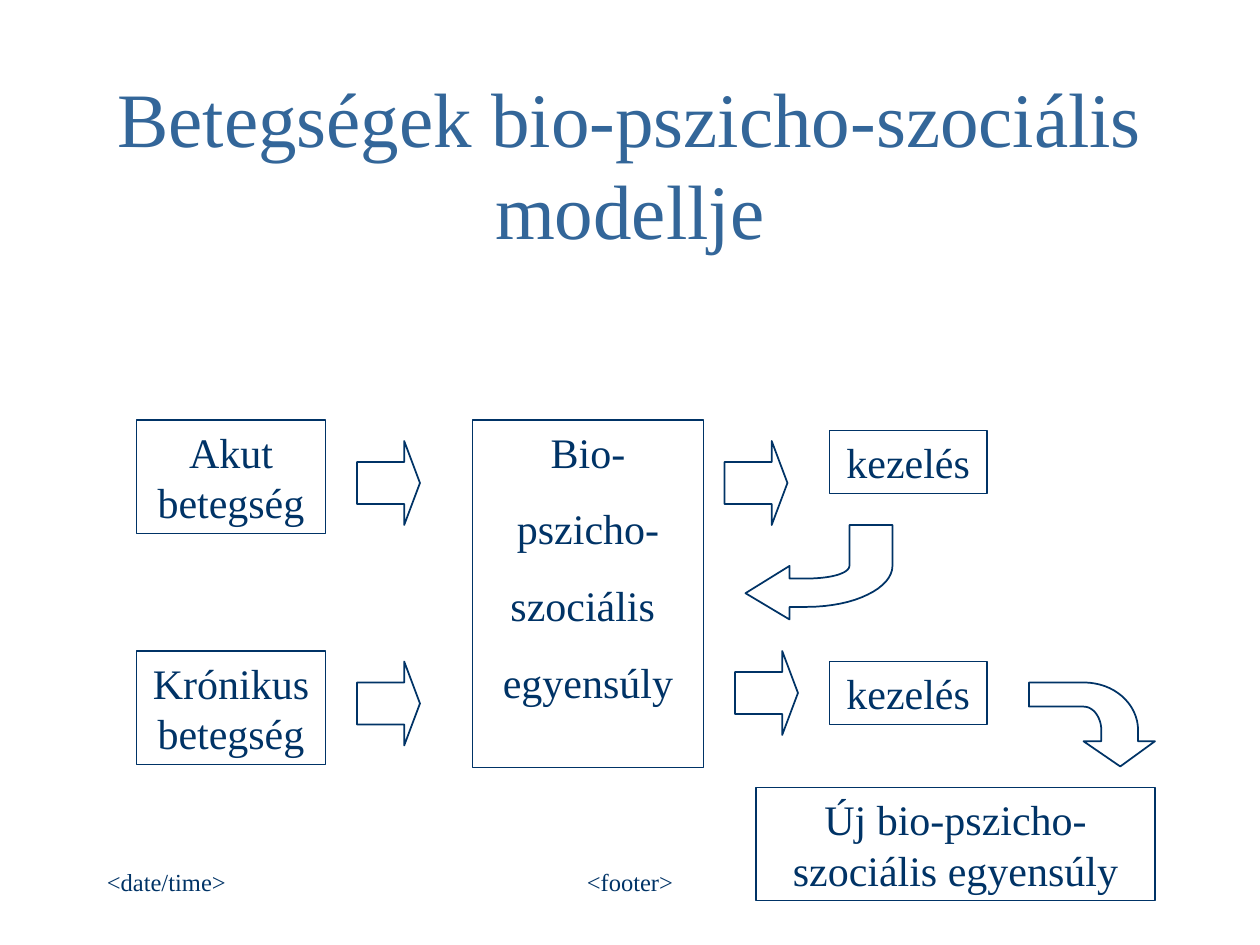
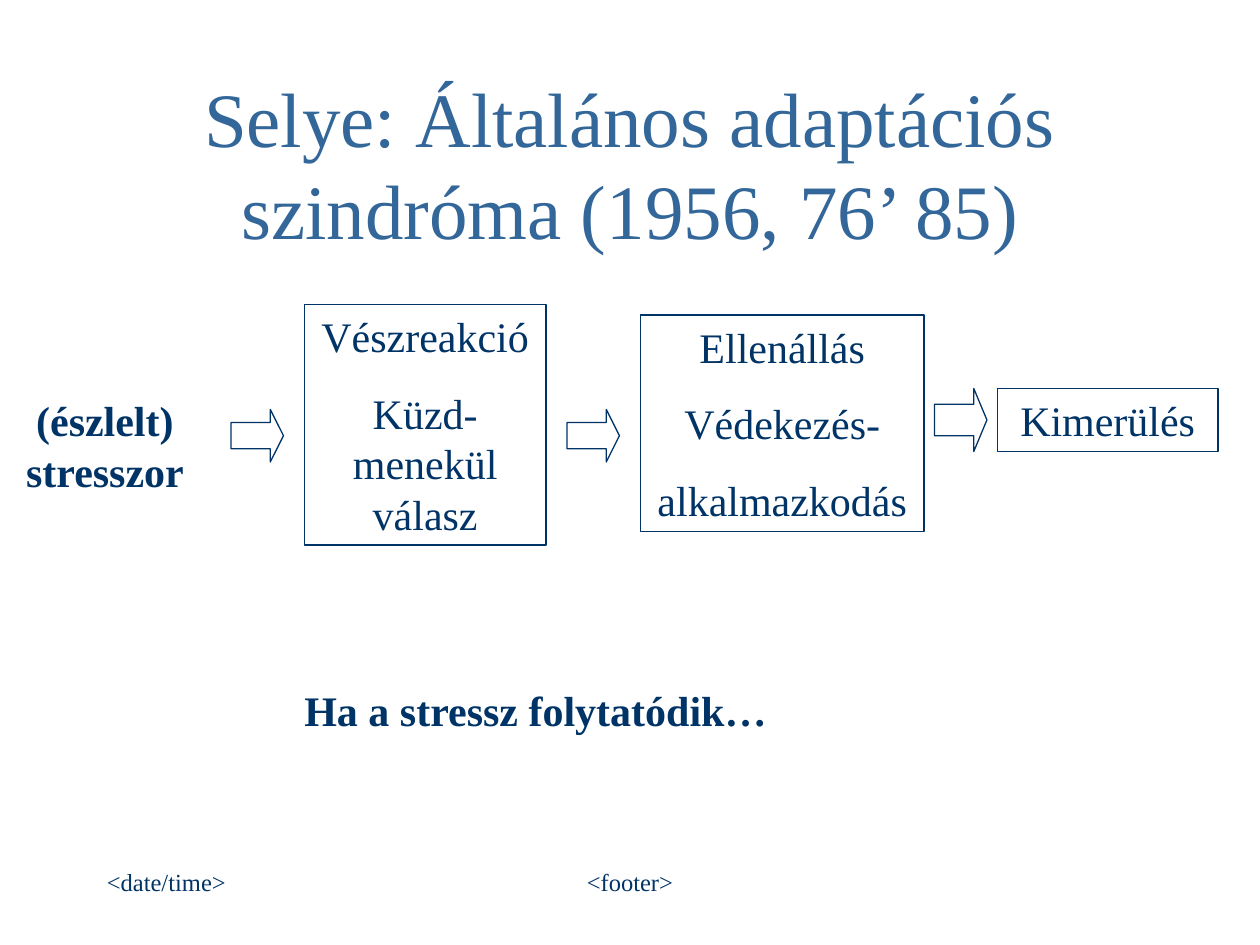
from pptx import Presentation
from pptx.dml.color import RGBColor
from pptx.enum.shapes import MSO_SHAPE
from pptx.enum.text import MSO_ANCHOR, PP_ALIGN
from pptx.util import Inches, Pt

NAVY = RGBColor(0x00, 0x33, 0x66)
STEEL = RGBColor(0x33, 0x66, 0x99)
FONT = "Times New Roman"
COLS, ROWS = 120, 90
WIDTH, HEIGHT = Inches(10), Inches(7.5)
UNIT = WIDTH // COLS


def grid(*cells):
    """Turn counts of grid cells into lengths."""
    return [round(n * UNIT) for n in cells]


def write(frame, text, size=24, color=NAVY, bold=False, align=PP_ALIGN.CENTER,
          anchor=MSO_ANCHOR.TOP, wrap=True):
    """Fill a frame, one paragraph for each line of text."""
    frame.word_wrap = wrap
    frame.vertical_anchor = anchor
    for i, line in enumerate(text.split("\n")):
        para = frame.add_paragraph() if i else frame.paragraphs[0]
        para.alignment = align
        if i:
            para.space_before = Pt(15)
        run = para.add_run()
        run.text = line
        font = run.font
        font.name, font.size, font.bold = FONT, Pt(size), bold
        font.color.rgb = color


def label(slide, text, area, **style):
    write(slide.shapes.add_textbox(*grid(*area)).text_frame, text, **style)


def outline(shape, width):
    shape.shadow.inherit = False
    shape.fill.background()
    shape.line.color.rgb = NAVY
    shape.line.width = Pt(width)


def box(slide, text, area):
    shape = slide.shapes.add_shape(MSO_SHAPE.RECTANGLE, *grid(*area))
    outline(shape, 0.75)
    write(shape.text_frame, text)


def arrow(slide, area, width):
    shape = slide.shapes.add_shape(MSO_SHAPE.RIGHT_ARROW, *grid(*area))
    shape.adjustments[0], shape.adjustments[1] = 0.5, 0.25
    outline(shape, width)


def curve(start, ctrl1, ctrl2, end, steps=16):
    """Points along a cubic curve, both ends included."""
    points = []
    for i in range(steps + 1):
        t = i / steps
        u = 1 - t
        parts = (u ** 3, 3 * u * u * t, 3 * u * t * t, t ** 3)
        points.append(tuple(
            sum(w * p[axis] for w, p in zip(parts, (start, ctrl1, ctrl2, end)))
            for axis in (0, 1)))
    return points


def bend(slide, points):
    """Draw a bent arrow through grid points."""
    first, *rest = [grid(*p) for p in points]
    path = slide.shapes.build_freeform(*first)
    path.add_line_segments(rest, close=True)
    outline(path.convert_to_shape(), 1)


def page(deck, title):
    slide = deck.slides.add_slide(deck.slide_layouts[6])
    label(slide, "<footer>", (41, 82, 38, 6), size=14)
    label(slide, "<date/time>", (9, 82, 25, 6), size=14, align=PP_ALIGN.LEFT)
    label(slide, title, (9, 8, COLS - 18, 15), size=44, color=STEEL,
          anchor=MSO_ANCHOR.MIDDLE)
    return slide


def model(deck):
    slide = page(deck, "Betegségek bio-pszicho-szociális modellje")
    for text, area in (
        ("Akut betegség", (13, 40, 18, 10.8)),
        ("Krónikus betegség", (13, 62, 18, 10.8)),
        ("Bio-\npszicho-\nszociális \negyensúly", (45, 40, 22, 33.1)),
        ("kezelés", (79, 41, 15, 6)),
        ("kezelés", (79, 63, 15, 6)),
        ("Új bio-pszicho-szociális egyensúly", (72, 75, 38, 10.8)),
    ):
        box(slide, text, area)
    for left, top in ((34, 42), (69, 42), (34, 63), (70, 62)):
        arrow(slide, (left, top, 6, 8), 1)
    bend(slide, [
        (85, 50),
        *curve((85, 53.9), (85, 56), (81.4, 57.8), (76.9, 57.8)),
        (75.2, 57.8), (75.2, 59), (71, 56.5), (75.2, 53.9), (75.2, 55.1),
        *curve((76.9, 55.1), (79.1, 55.1), (80.9, 54.6), (80.9, 53.9)),
        (80.9, 50)])
    bend(slide, [
        (98, 65),
        *curve((103.2, 65), (106.1, 65), (108.4, 67), (108.4, 69.6)),
        (108.4, 70.6), (110, 70.6), (106.7, 73), (103.2, 70.6), (104.9, 70.6),
        *curve((104.9, 69.6), (104.9, 68.4), (104.2, 67.3), (103.2, 67.3)),
        (98, 67.3)])


def stress(deck):
    slide = page(deck, "Selye: Általános adaptációs szindróma (1956, 76’ 85)")
    label(slide, "(észlelt) stresszor", (0, 37, 20, 10.8), bold=True)
    for text, area in (
        ("Vészreakció\nKüzd-menekül válasz", (29, 29, 23, 22.9)),
        ("Ellenállás\nVédekezés-\nalkalmazkodás", (61, 30, 27, 20.6)),
        ("Kimerülés", (95, 37, 21, 6)),
    ):
        box(slide, text, area)
    for area in ((22, 39, 5, 5), (54, 39, 5, 5), (89, 37, 5, 6)):
        arrow(slide, area, 0.75)
    label(slide, "Ha a stressz folytatódik…", (27.8, 64.6, 46.4, 6),
          bold=True, align=PP_ALIGN.LEFT, wrap=False)


def main():
    deck = Presentation()
    deck.slide_width, deck.slide_height = WIDTH, HEIGHT
    model(deck)
    stress(deck)
    deck.save("out.pptx")


if __name__ == "__main__":
    main()
